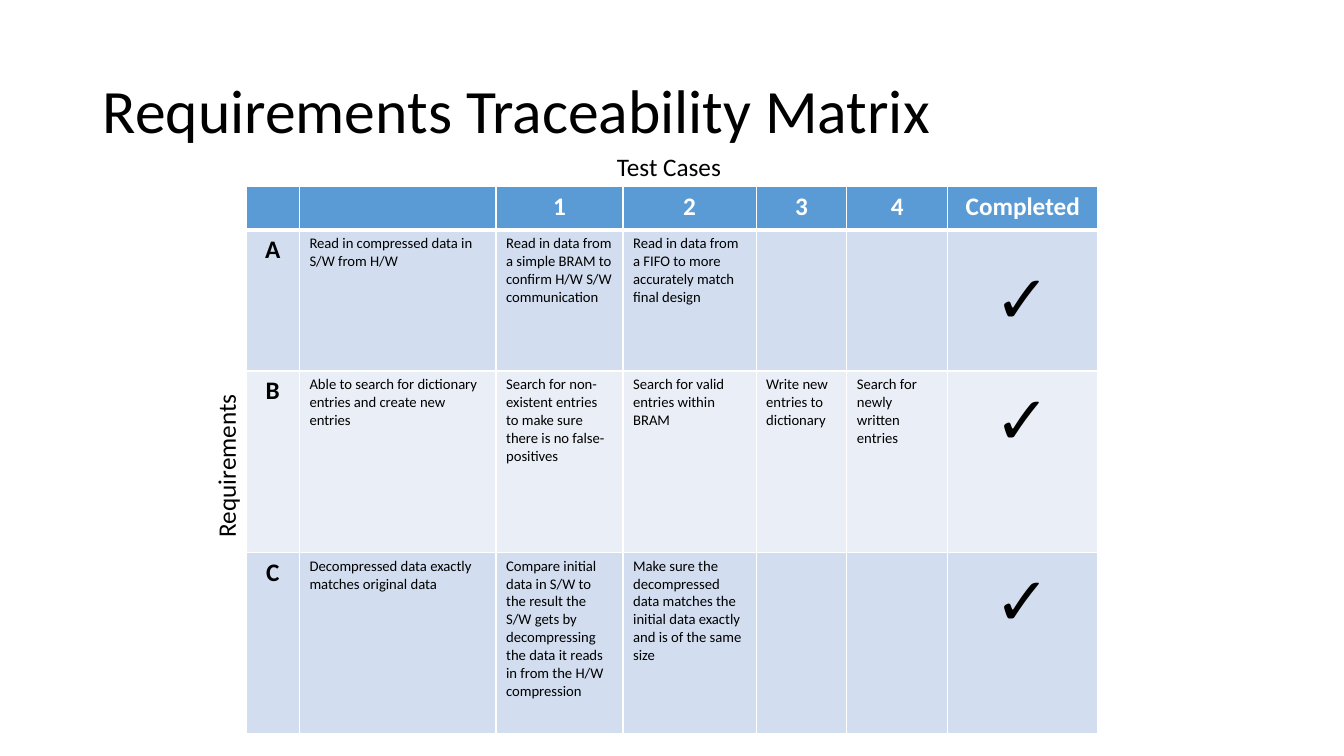
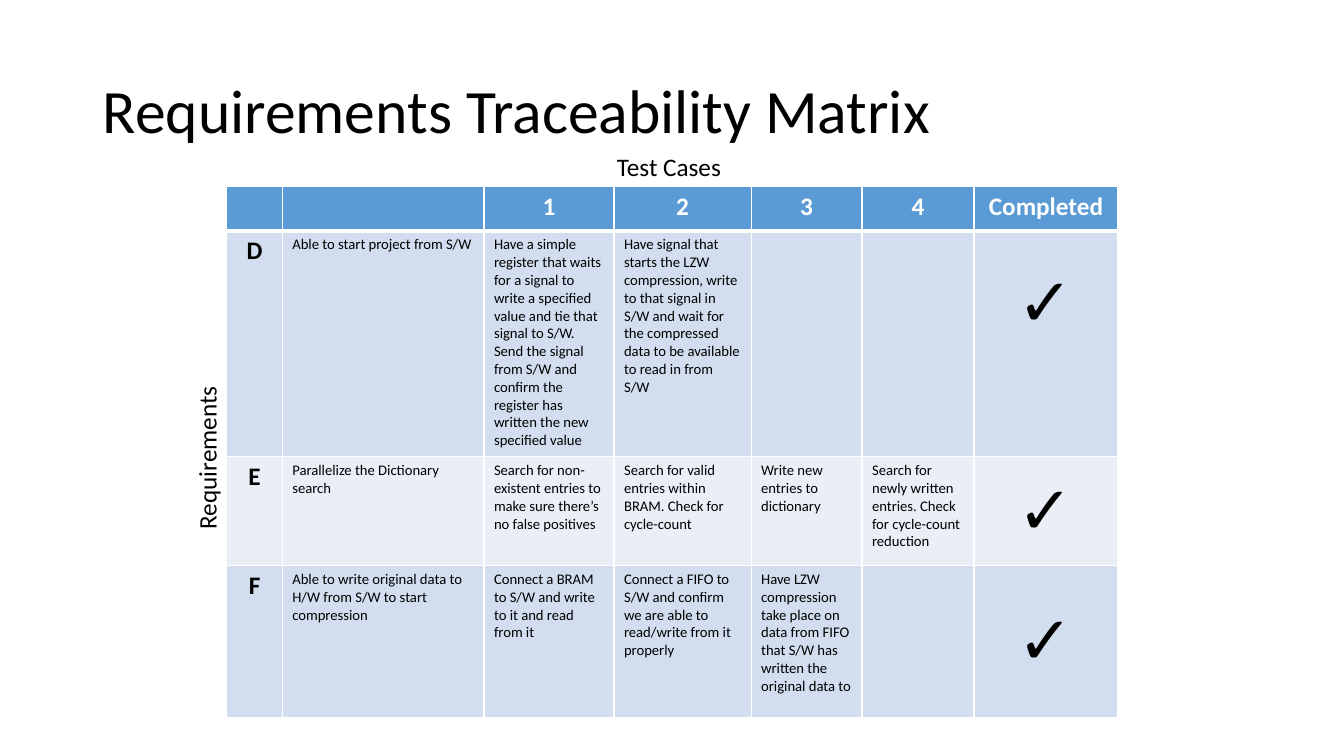
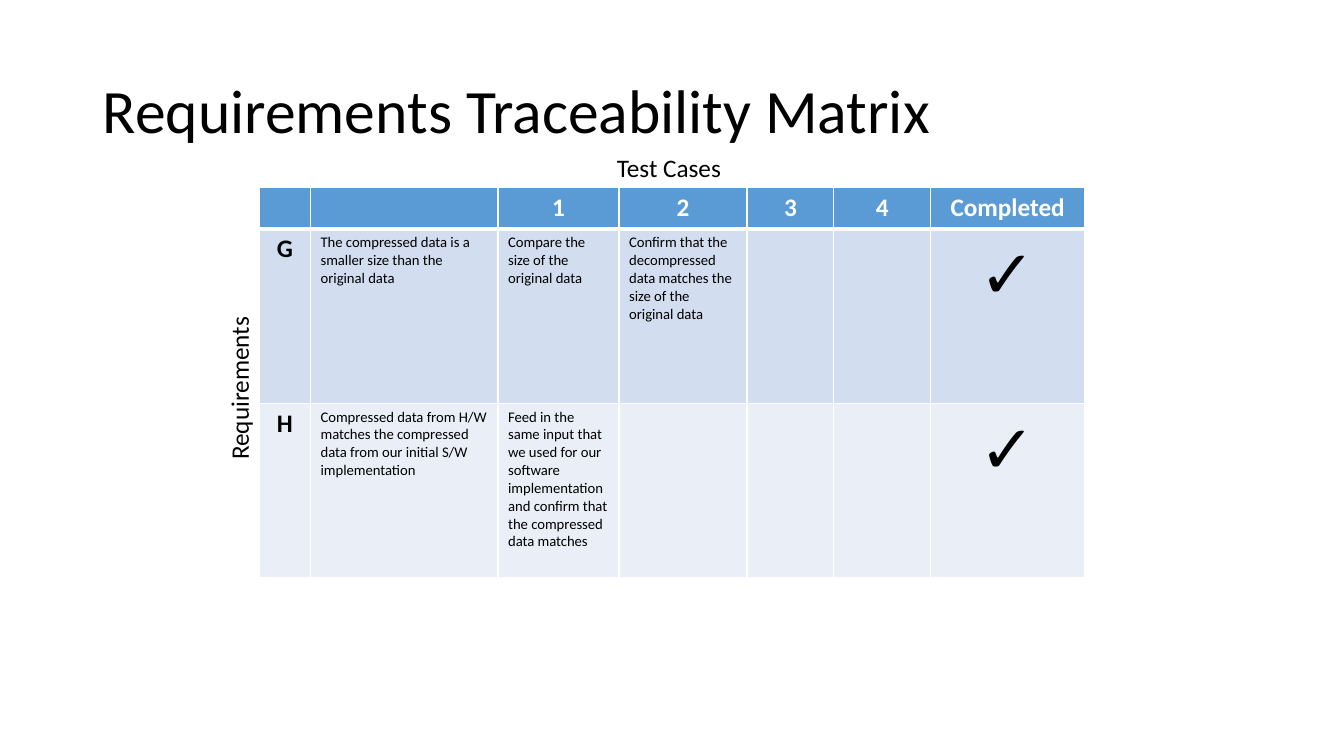
"""Build the three slides of a requirements traceability matrix."""
from dataclasses import dataclass

import pptx
import pptx.dml.color
import pptx.enum.text
import pptx.oxml.ns
import pptx.table
import pptx.util
from lxml import etree

Inches = pptx.util.Inches
Align = pptx.enum.text.PP_ALIGN
Anchor = pptx.enum.text.MSO_ANCHOR

FONT = "Calibri"
BLACK, WHITE = "000000", "FFFFFF"
HEADER_FILL = "5B9BD5"
BAND_FILLS = ("D2DEEF", "EAEFF7")
TITLE = "Requirements Traceability Matrix"
HEADINGS = ("", "", "1", "2", "3", "4", "Completed")
TEST_CASES = 4
LABEL_SIZE, DETAIL_SIZE, CHECK_SIZE = 18, 10.5, 48
LABEL_HEIGHT = 0.4
CHECK_LIFT = 0.85


@dataclass(frozen=True)
class Requirement:
    code: str
    need: str
    tests: tuple[str, ...]
    height: float
    check_raised: bool = False


@dataclass(frozen=True)
class Matrix:
    left: float
    top: float
    columns: tuple[float, ...]
    header_height: float
    requirements: tuple[Requirement, ...]

    @property
    def width(self) -> float:
        return sum(self.columns)

    @property
    def height(self) -> float:
        return self.header_height + sum(item.height for item in self.requirements)


MATRICES = (
    Matrix(2.44, 1.85, (0.53, 1.95, 1.26, 1.32, 0.9, 1, 1.49), 0.43, (
        Requirement("A", "Read in compressed data in S/W from H/W", (
            "Read in data from a simple BRAM to confirm H/W S/W communication",
            "Read in data from a FIFO to more accurately match final design",
        ), 1.4),
        Requirement("B", "Able to search for dictionary entries and create new entries", (
            "Search for non-existent entries to make sure there is no false-positives",
            "Search for valid entries within BRAM",
            "Write new entries to dictionary",
            "Search for newly written entries",
        ), 1.8, True),
        Requirement("C", "Decompressed data exactly matches original data", (
            "Compare initial data in S/W to the result the S/W gets by decompressing "
            "the data it reads in from the H/W compression",
            "Make sure the decompressed data matches the initial data exactly "
            "and is of the same size",
        ), 1.8, True),
    )),
    Matrix(2.25, 1.85, (0.55, 2, 1.29, 1.36, 1.1, 1.11, 1.43), 0.44, (
        Requirement("D", "Able to start project from S/W", (
            "Have a simple register that waits for a signal to write a specified value "
            "and tie that signal to S/W. Send the signal from S/W and confirm the "
            "register has written the new specified value",
            "Have signal that starts the LZW compression, write to that signal in S/W "
            "and wait for the compressed data to be available to read in from S/W",
        ), 2.24, True),
        Requirement("E", "Parallelize the Dictionary search", (
            "Search for non-existent entries to make sure there’s no false positives",
            "Search for valid entries within BRAM. Check for cycle-count",
            "Write new entries to dictionary",
            "Search for newly written entries. Check for cycle-count reduction",
        ), 1.08),
        Requirement("F", "Able to write original data to H/W from S/W to start compression", (
            "Connect a BRAM to S/W and write to it and read from it",
            "Connect a FIFO to S/W and confirm we are able to read/write from it properly",
            "Have LZW compression take place on data from FIFO that S/W has written "
            "the original data to",
        ), 1.51),
    )),
    Matrix(2.57, 1.86, (0.51, 1.86, 1.2, 1.27, 0.86, 0.96, 1.53), 0.41, (
        Requirement("G", "The compressed data is a smaller size than the original data", (
            "Compare the size of the original data",
            "Confirm that the decompressed data matches the size of the original data",
        ), 1.73, True),
        Requirement("H", "Compressed data from H/W matches the compressed data from our "
                    "initial S/W implementation", (
            "Feed in the same input that we used for our software implementation "
            "and confirm that the compressed data matches",
        ), 1.73, True),
    )),
)


def rgb(value: str) -> pptx.dml.color.RGBColor:
    return pptx.dml.color.RGBColor.from_string(value)


def write(frame, text: str, size: float, color: str = BLACK, bold: bool = False,
          align: Align = Align.LEFT):
    paragraph = frame.paragraphs[0]
    paragraph.alignment = align
    run = paragraph.add_run()
    run.text = text
    run.font.name = FONT
    run.font.size = pptx.util.Pt(size)
    run.font.bold = bold
    run.font.color.rgb = rgb(color)
    return paragraph


def add_title(slide) -> None:
    title = slide.shapes.add_textbox(Inches(0.92), Inches(0.4), Inches(11.5), Inches(1.45))
    title.text_frame.word_wrap = True
    title.text_frame.vertical_anchor = Anchor.MIDDLE
    write(title.text_frame, TITLE, 44).line_spacing = 0.9


def add_label(slide, text: str, center_x: float, center_y: float, width: float,
              rotation: float = 0) -> None:
    label = slide.shapes.add_textbox(
        Inches(center_x - width / 2), Inches(center_y - LABEL_HEIGHT / 2),
        Inches(width), Inches(LABEL_HEIGHT))
    label.rotation = rotation
    label.text_frame.word_wrap = False
    label.text_frame.auto_size = pptx.enum.text.MSO_AUTO_SIZE.SHAPE_TO_FIT_TEXT
    write(label.text_frame, text, LABEL_SIZE)


def style_cell(cell: pptx.table._Cell, fill: str, bottom_width: float = 1) -> None:
    qn = pptx.oxml.ns.qn
    properties = cell._tc.get_or_add_tcPr()
    for side, width in (("L", 1), ("R", 1), ("T", 1), ("B", bottom_width)):
        border = etree.SubElement(properties, qn(f"a:ln{side}"), w=str(pptx.util.Pt(width)))
        paint = etree.SubElement(border, qn("a:solidFill"))
        etree.SubElement(paint, qn("a:srgbClr"), val=WHITE)
    cell.fill.solid()
    cell.fill.fore_color.rgb = rgb(fill)


def fill_requirement(cells: list[pptx.table._Cell], item: Requirement, fill: str) -> None:
    for cell in cells:
        style_cell(cell, fill)
    write(cells[0].text_frame, item.code, LABEL_SIZE, bold=True, align=Align.CENTER)
    for cell, detail in zip(cells[1:2 + TEST_CASES], (item.need, *item.tests)):
        write(cell.text_frame, detail, DETAIL_SIZE)
    completed = cells[-1]
    completed.vertical_anchor = Anchor.MIDDLE
    if item.check_raised:
        completed.margin_bottom = Inches(CHECK_LIFT)
    write(completed.text_frame, "✓", CHECK_SIZE, align=Align.CENTER)


def add_matrix(slide, matrix: Matrix) -> None:
    table = slide.shapes.add_table(
        len(matrix.requirements) + 1, len(HEADINGS), Inches(matrix.left), Inches(matrix.top),
        Inches(matrix.width), Inches(matrix.height)).table
    table.horz_banding = False
    for column, width in zip(table.columns, matrix.columns):
        column.width = Inches(width)
    heights = (matrix.header_height, *(item.height for item in matrix.requirements))
    for row, height in zip(table.rows, heights):
        row.height = Inches(height)
    for cell, heading in zip(table.rows[0].cells, HEADINGS):
        style_cell(cell, HEADER_FILL, bottom_width=3)
        if heading:
            write(cell.text_frame, heading, LABEL_SIZE, WHITE, True, Align.CENTER)
    for index, item in enumerate(matrix.requirements):
        fill_requirement(list(table.rows[index + 1].cells), item, BAND_FILLS[index % 2])


def main() -> None:
    deck = pptx.Presentation()
    deck.slide_width, deck.slide_height = Inches(13.33), Inches(7.5)
    for matrix in MATRICES:
        slide = deck.slides.add_slide(deck.slide_layouts[6])
        add_title(slide)
        add_matrix(slide, matrix)
        add_label(slide, "Test Cases", 6.67, matrix.top - LABEL_HEIGHT / 2, 1.3)
        add_label(slide, "Requirements", matrix.left - LABEL_HEIGHT / 2,
                  matrix.top + matrix.height / 2, 1.73, rotation=270)
    deck.save("out.pptx")


if __name__ == "__main__":
    main()
